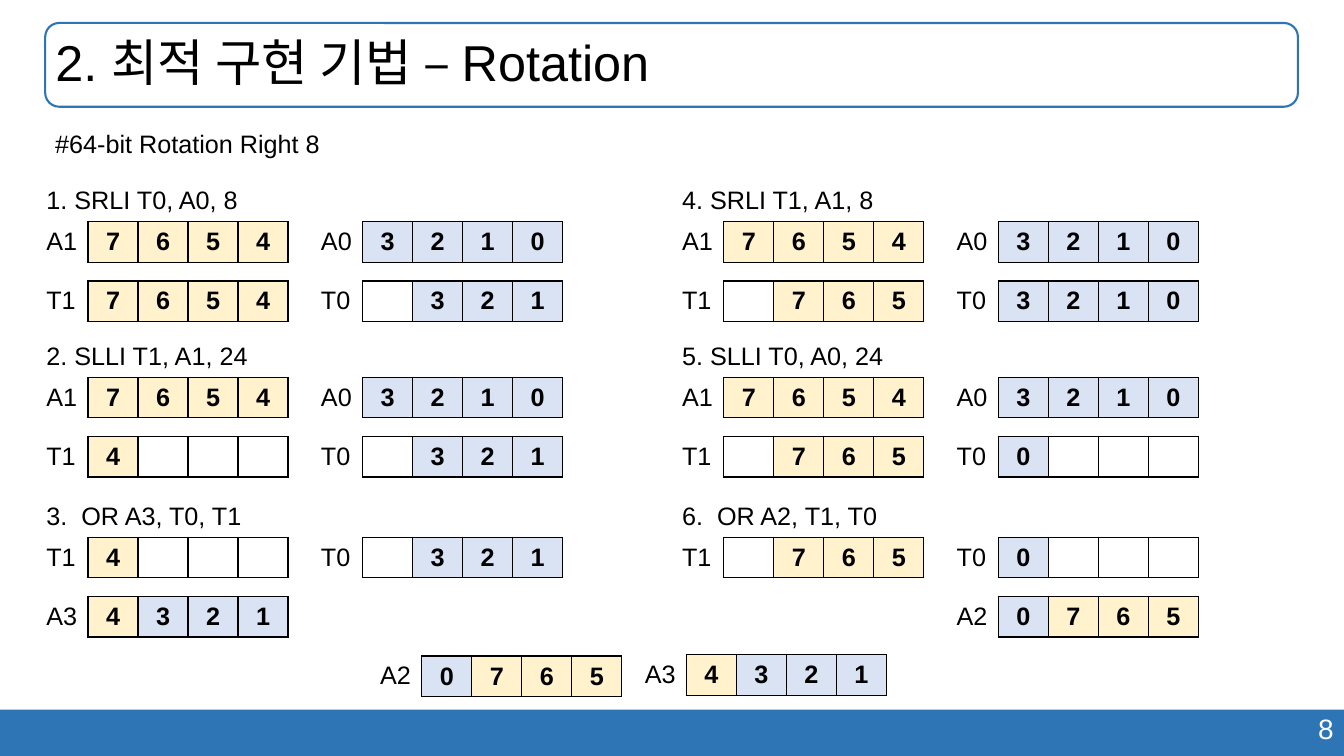
from lxml import etree
from pptx import Presentation
from pptx.dml.color import RGBColor
from pptx.enum.shapes import MSO_SHAPE
from pptx.enum.text import MSO_ANCHOR, PP_ALIGN
from pptx.oxml.ns import qn
from pptx.util import Cm, Pt

RECT, ROUND = MSO_SHAPE.RECTANGLE, MSO_SHAPE.ROUNDED_RECTANGLE
MID = MSO_ANCHOR.MIDDLE
LEFT, CENTER, RIGHT = PP_ALIGN.LEFT, PP_ALIGN.CENTER, PP_ALIGN.RIGHT
BLUE = RGBColor(0x2E, 0x75, 0xB6)
SKY = RGBColor(0xDA, 0xE3, 0xF3)
CREAM = RGBColor(0xFF, 0xF2, 0xCC)
WHITE = RGBColor(0xFF, 0xFF, 0xFF)
BLACK = RGBColor(0, 0, 0)

TITLE = "2. 최적 구현 기법 – Rotation"
TOPIC = "#64-bit Rotation Right 8"
PAGE = "8"
HIGH, LOW = "7654", "3210"
STEPS = [
    [("1. SRLI T0, A0, 8", [[("A1", HIGH), ("A0", LOW)], [("T1", HIGH), ("T0", " 321")]]),
     ("2. SLLI T1, A1, 24", [[("A1", HIGH), ("A0", LOW)], [("T1", "4   "), ("T0", " 321")]]),
     ("3.  OR A3, T0, T1", [[("T1", "4   "), ("T0", " 321")], [("A3", "4321"), None]])],
    [("4. SRLI T1, A1, 8", [[("A1", HIGH), ("A0", LOW)], [("T1", " 765"), ("T0", LOW)]]),
     ("5. SLLI T0, A0, 24", [[("A1", HIGH), ("A0", LOW)], [("T1", " 765"), ("T0", "0   ")]]),
     ("6.  OR A2, T1, T0", [[("T1", " 765"), ("T0", "0   ")], [None, ("A2", "0765")]])],
]
RESULT = [("A2", "0765", 9.33, 16.5), ("A3", "4321", 16, 16.47)]

EDGE, HALF, PITCH = 0.92, 16.02, 6.92
TOPS = [4.53, 8.45, 12.48]
DROPS = [1.03, 2.52]
CELL, ROW, GAP = 1.26, 1.02, 1.3
FRAME = [Cm(n) for n in (1.14, 0.58, 31.57, 2.11)]


def style(par, size, color=BLACK, bold=False, align=LEFT):
    par.alignment = align
    for run in par.runs:
        run.font.name = "Arial"
        run.font.size = Pt(size)
        run.font.bold = bold
        run.font.color.rgb = color


def label(text, x, y, wide, size=18, color=BLACK, align=LEFT):
    frame = slide.shapes.add_textbox(Cm(x), Cm(y), Cm(wide), Cm(ROW)).text_frame
    frame.word_wrap = align == RIGHT
    frame.text = text
    style(frame.paragraphs[0], size, color, align=align)


def border(cell):
    props = cell._tc.get_or_add_tcPr()
    for spot, side in enumerate(("lnL", "lnR", "lnT", "lnB")):
        line = etree.Element(qn("a:" + side), w=str(Pt(1)))
        fill = etree.SubElement(line, qn("a:solidFill"))
        etree.SubElement(fill, qn("a:srgbClr"), val=str(BLACK))
        props.insert(spot, line)


def word(name, data, x, y):
    label(name, x, y, GAP, 18)
    size = len(data)
    table = slide.shapes.add_table(
        1, size, Cm(x + GAP), Cm(y + 0.03), Cm(CELL * size), Cm(ROW)).table
    for col, digit in enumerate(data):
        table.columns[col].width = Cm(CELL)
        cell = table.cell(0, col)
        cell.fill.solid()
        cell.fill.fore_color.rgb = WHITE if digit == " " else CREAM if digit in HIGH else SKY
        border(cell)
        cell.vertical_anchor = MID
        cell.text = digit.strip()
        style(cell.text_frame.paragraphs[0], 18, bold=True, align=CENTER)


deck = Presentation()
deck.slide_width, deck.slide_height = Cm(33.87), Cm(19.05)
slide = deck.slides.add_slide(deck.slide_layouts[5])

bar = slide.shapes.add_shape(RECT, 0, Cm(17.88), deck.slide_width, Cm(1.17))
bar.shadow.inherit = False
bar.fill.solid()
bar.fill.fore_color.rgb = BLUE
bar.line.fill.background()
label(PAGE, 23.95, 17.81, 9.91, 20, WHITE, RIGHT)

box = slide.shapes.add_shape(ROUND, *FRAME)
box.shadow.inherit = False
box.fill.background()
box.line.color.rgb = BLUE
box.line.width = Pt(1.5)

title = slide.shapes.title
title.left, title.top, title.width, title.height = FRAME
title.text_frame.text = TITLE
title.text_frame.vertical_anchor = MID
head = title.text_frame.paragraphs[0]
head.line_spacing = 0.9
style(head, 36)

label(TOPIC, 1.14, 3.1, 7.24)
for half, steps in enumerate(STEPS):
    left = EDGE + half * HALF
    for (code, rows), top in zip(steps, TOPS):
        label(code, left, top, 5.6)
        for pair, drop in zip(rows, DROPS):
            for col, item in enumerate(pair):
                if item:
                    word(*item, left + col * PITCH, top + drop)
for item in RESULT:
    word(*item)

deck.save("out.pptx")
